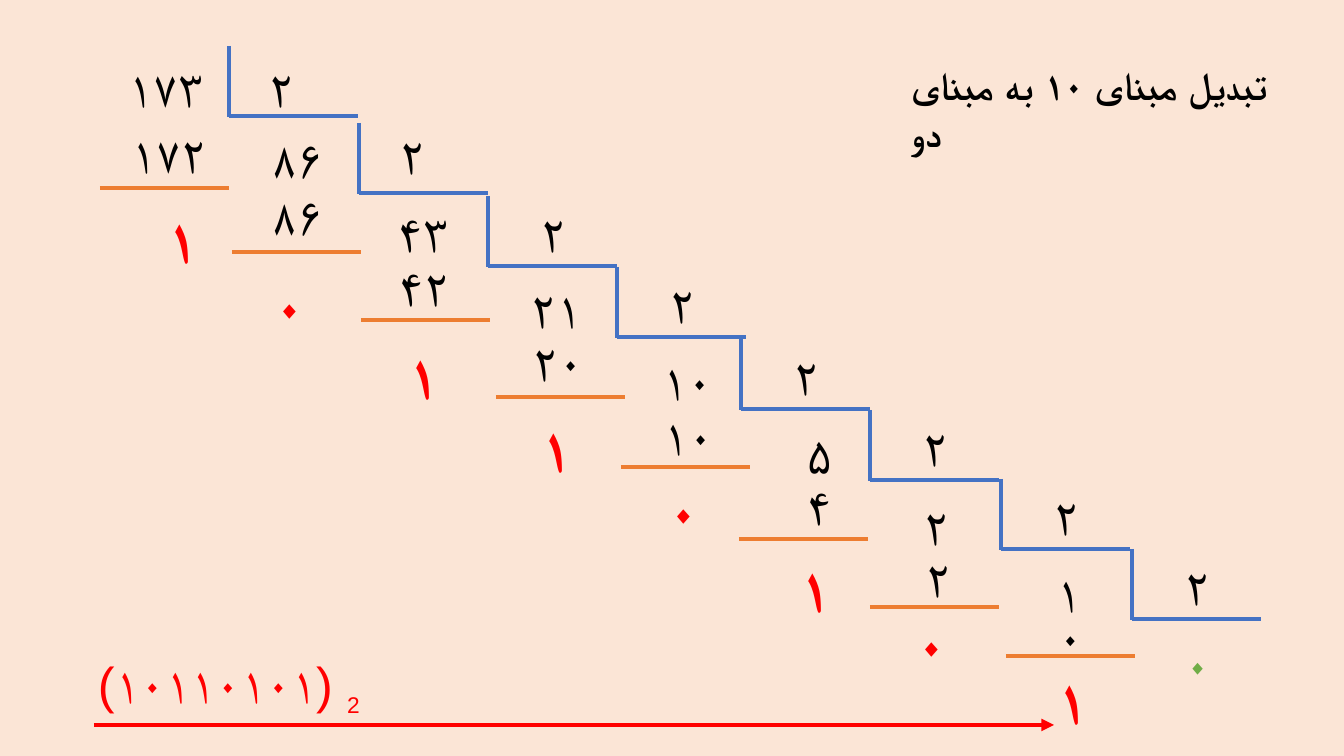
from dataclasses import dataclass

from pptx import Presentation
from pptx.dml.color import RGBColor
from pptx.enum.shapes import MSO_CONNECTOR
from pptx.enum.text import MSO_ANCHOR, MSO_AUTO_SIZE, PP_ALIGN
from pptx.oxml.ns import qn
from pptx.util import Inches, Pt
from lxml.etree import SubElement


@dataclass(frozen=True)
class Theme:
    """Colours, font and type sizes of the slide."""
    paper: str = "FBE5D6"
    ink: str = "000000"
    bracket: str = "4472C4"
    bar: str = "ED7D31"
    remainder: str = "FF0000"
    quotient: str = "70AD47"
    font: str = "Arial"
    number: int = 36
    large: int = 44
    small: int = 28
    line: int = 3


@dataclass(frozen=True)
class Step:
    """One division: its bracket corner, and its parts as offsets from it."""
    corner: tuple
    dividend: tuple
    product: tuple
    bar: tuple
    remainder: tuple
    divisor: tuple = (40, 1)


THEME = Theme()
PIXELS_PER_INCH = 100.8
NUMBER, BASE = 173, 2
STEP_WIDTH, BRACKET_HEIGHT, SHELF = 129, 71, 70
PERSIAN = str.maketrans("0123456789", "۰۱۲۳۴۵۶۷۸۹")
STEPS = [
    Step((229, 46), (-120, 6), (-117, 72), (-129, 142), (-75, 151), (27, 6)),
    Step((359, 123), (-103, 0), (-103, 57), (-127, 129), (-98, 140), (28, -4)),
    Step((488, 196), (-106, 1), (-105, 55), (-127, 124), (-93, 137)),
    Step((617, 267), (-102, 6), (-100, 59), (-121, 130), (-89, 139)),
    Step((741, 339), (-95, 6), (-94, 61), (-120, 128), (-86, 129)),
    Step((870, 410), (-76, 8), (-76, 60), (-131, 129), (-83, 136)),
    Step((1001, 479), (-90, 11), (-88, 63), (-131, 128), (-98, 122)),
    Step((1132, 549), (-89, 8), (-87, 52), (-126, 107), (-88, 109)),
]


def px(pixels):
    """Turn pixels into EMU."""
    return Inches(pixels / PIXELS_PER_INCH)


def shift(point, offset):
    """Move a point by an offset."""
    return point[0] + offset[0], point[1] + offset[1]


def add_span(para, text, size=THEME.number, color=THEME.ink, bold=False, baseline=0):
    """Add a formatted run to a paragraph."""
    span = para.add_run()
    span.text = text
    span.font.name = THEME.font
    span.font.size = Pt(size)
    span.font.bold = bold
    span.font.color.rgb = RGBColor.from_string(color)
    properties = span.font._element
    SubElement(properties, qn("a:cs")).set("typeface", THEME.font)
    if baseline:
        properties.set("baseline", str(baseline * 1000))


def add_text_box(page, left, top, width, height):
    """Add an unwrapped text box and return its first paragraph."""
    box = page.shapes.add_textbox(px(left), px(top), px(width), px(height))
    box.text_frame.word_wrap = False
    return box.text_frame.paragraphs[0]


def add_number(page, corner, value, size=THEME.number, **style):
    """Write a right-to-left number in Persian digits."""
    digits = str(value).translate(PERSIAN)
    width = 20 + len(digits) * size * 0.78
    para = add_text_box(page, *corner, width, size * 2)
    para.alignment = PP_ALIGN.RIGHT
    para._p.get_or_add_pPr().set("rtl", "1")
    add_span(para, digits, size, **style)


def add_line(page, start, offset, color, arrow=False):
    """Draw a line from a point, optionally with an arrowhead at its end."""
    ends = [px(value) for value in (*start, *shift(start, offset))]
    line = page.shapes.add_connector(MSO_CONNECTOR.STRAIGHT, *ends)
    line.line.color.rgb = RGBColor.from_string(color)
    line.line.width = Pt(THEME.line)
    if arrow:
        SubElement(line.line._get_or_add_ln(), qn("a:tailEnd")).set("type", "triangle")
    SubElement(line._element.spPr, qn("a:effectLst"))


def add_title(page, left, top, width, height):
    """Place and format the slide title."""
    title = page.shapes.title
    title.left, title.top, title.width, title.height = map(px, (left, top, width, height))
    frame = title.text_frame
    frame.word_wrap = True
    frame.auto_size = MSO_AUTO_SIZE.NONE
    frame.vertical_anchor = MSO_ANCHOR.TOP
    para = frame.paragraphs[0]
    para.alignment = PP_ALIGN.LEFT
    para.line_spacing = 1.0
    para.space_before = Pt(0)
    add_span(para, "تبدیل مبنای ۱۰ به مبنای دو", THEME.small, bold=True)


def add_step(page, step, dividend):
    """Draw one division around its corner; return quotient and remainder."""
    quotient, remainder = divmod(dividend, BASE)
    corner = step.corner
    add_line(page, corner, (0, BRACKET_HEIGHT), THEME.bracket)
    add_line(page, shift(corner, (0, SHELF)), (STEP_WIDTH, 0), THEME.bracket)
    add_line(page, shift(corner, step.bar), (STEP_WIDTH, 0), THEME.bar)
    add_number(page, shift(corner, step.divisor), BASE)
    add_number(page, shift(corner, step.dividend), dividend)
    add_number(page, shift(corner, step.product), dividend - remainder)
    add_number(page, shift(corner, step.remainder), remainder, THEME.large,
               color=THEME.remainder, bold=True)
    return quotient, remainder


def add_divisions(page, last_corner):
    """Draw the staircase of divisions; return its remainders in order."""
    value, remainders = NUMBER, []
    for step in STEPS:
        value, remainder = add_step(page, step, value)
        remainders.append(remainder)
    add_number(page, last_corner, value, color=THEME.quotient, bold=True)
    return remainders


def add_result(page, remainders, left, top, width, height):
    """Write the converted number with its base and the arrow below it."""
    para = add_text_box(page, left, top, width, height)
    digits = "".join(map(str, remainders)).translate(PERSIAN)
    add_span(para, f"({digits}) ", color=THEME.remainder)
    add_span(para, str(BASE), THEME.small, THEME.remainder, baseline=-25)
    add_line(page, (left + 6, top + 77), (960, 0), THEME.remainder, arrow=True)


def build():
    """Build and save the deck."""
    deck = Presentation()
    deck.slide_width, deck.slide_height = px(1344), px(756)
    page = deck.slides.add_slide(deck.slide_layouts[5])
    page.background.fill.solid()
    page.background.fill.fore_color.rgb = RGBColor.from_string(THEME.paper)
    add_title(page, 901, 56, 385, 57)
    remainders = add_divisions(page, (1173, 628))
    add_result(page, remainders, 88, 648, 297, 72)
    deck.save("out.pptx")


build()
